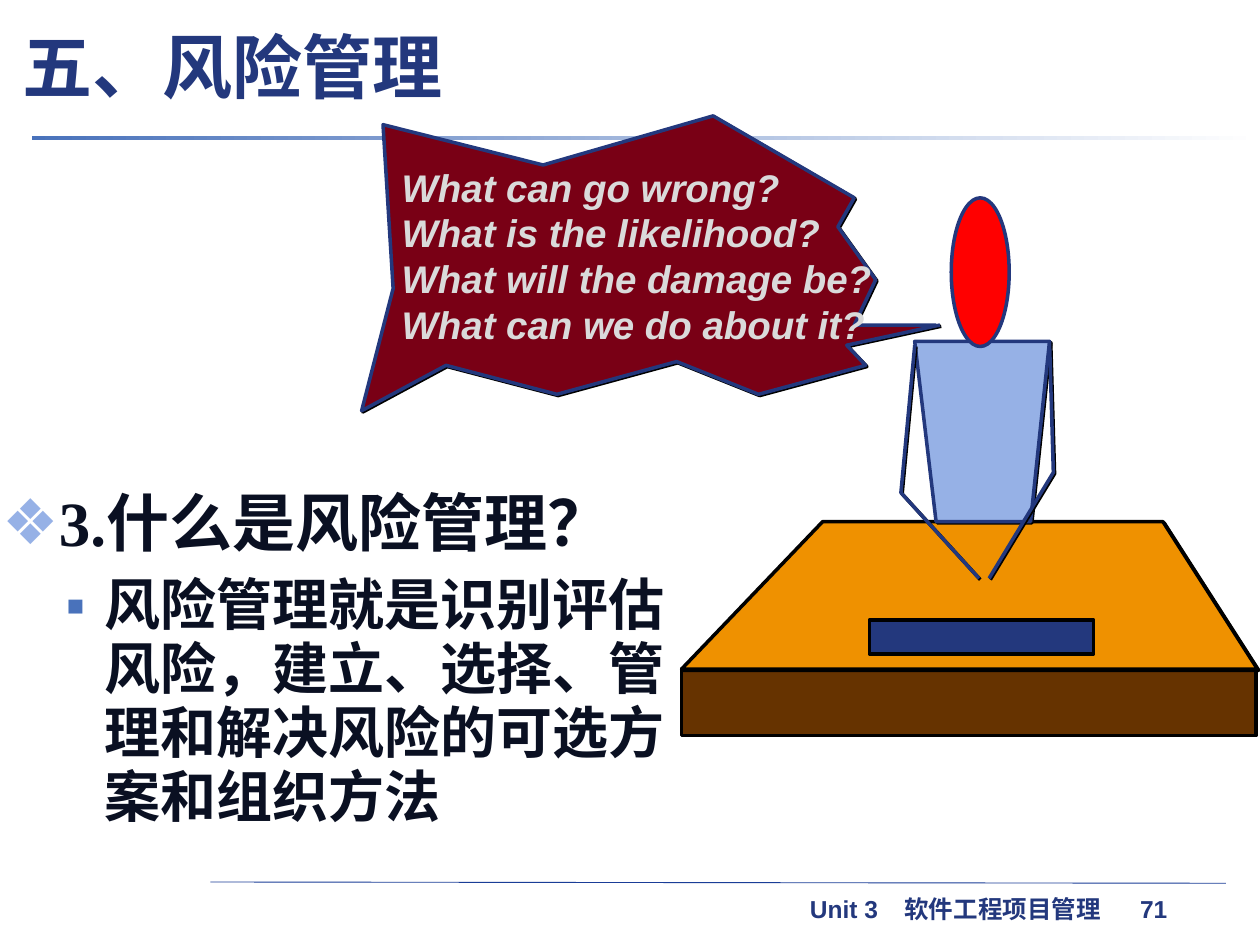
from lxml import etree
from pptx import Presentation
from pptx.dml.color import RGBColor
from pptx.enum.shapes import MSO_CONNECTOR, MSO_SHAPE
from pptx.enum.text import MSO_ANCHOR, MSO_AUTO_SIZE, PP_ALIGN
from pptx.oxml.ns import qn
from pptx.util import Inches, Pt

RECT, OVAL, LINE = MSO_SHAPE.RECTANGLE, MSO_SHAPE.OVAL, MSO_CONNECTOR.STRAIGHT
MIDDLE, TOP, LEFT = MSO_ANCHOR.MIDDLE, MSO_ANCHOR.TOP, PP_ALIGN.LEFT
FIXED = MSO_AUTO_SIZE.NONE

THEME = {
    "navy": "23387D", "rule": "1A3D97", "blue": "4972BB", "pale": "96B1E6",
    "ink": "0A1022", "black": "000000", "white": "FFFFFF", "grey": "DADADA",
    "wine": "790015", "brown": "663300", "gold": "EF9100", "red": "FF0000",
    "sans": "Arial", "serif": "Times New Roman", "cjk": "Noto Sans CJK SC",
    "title": 40, "head": 36, "body": 32, "ask": 22, "foot": 14,
    "stroke": 2, "hair": 0.5,
}

TITLE = "五、风险管理"
FOOTER = "Unit 3\t软件工程项目管理\t71"
POINTS = [
    dict(words="3.什么是风险管理？", size="head", level=0, before=0,
         bullet="❖", tint="pale", indent=(0.38, -0.38)),
    dict(words="风险管理就是识别评估风险，建立、选择、管理和解决风险的可选方案和组织方法",
         size="body", level=1, before=8,
         bullet="▪", tint="blue", indent=(0.81, -0.31)),
]
ASKS = ["What can go wrong?", "What is the likelihood?",
        "What will the damage be?", "What can we do about it?"]

BUBBLE = [(7.46, 2.58), (6.72, 2.74), (6.87, 2.9), (6.02, 3.13), (5.37, 2.87),
          (4.42, 3.13), (3.54, 2.9), (2.87, 3.26), (3.12, 2.29), (3.04, 0.99),
          (4.31, 1.31), (5.66, 0.92), (6.78, 1.57), (6.65, 1.8), (6.95, 2.22),
          (6.78, 2.58), (7.43, 2.58)]
DESK = [(5.41, 5.31), (6.53, 4.14), (9.23, 4.14), (9.98, 5.31), (5.41, 5.31)]
TORSO = [(7.43, 4.14), (7.26, 2.71), (8.33, 2.71), (8.18, 4.14), (7.43, 4.14)]
ARMS = [[(7.26, 2.74), (7.15, 3.91), (7.77, 4.59)],
        [(8.33, 2.71), (8.36, 3.75), (7.85, 4.59)]]
SHADE = 0.01


def color(name):
    return RGBColor.from_string(THEME[name])


def box(at):
    return [Inches(n) for n in at]


def place(shape, at):
    shape.left, shape.top, shape.width, shape.height = box(at)


def write(para, words, size, ink, font="sans", italic=False, level=0,
          before=0, space=None, bullet=None, tint=None, indent=None, tabs=()):
    props = para._p.get_or_add_pPr()
    para.alignment, para.level = LEFT, level
    para.space_before = Pt(before)
    if space:
        para.line_spacing = space
    if indent:
        props.set("marL", str(Inches(indent[0])))
        props.set("indent", str(Inches(indent[1])))
    if bullet:
        mark = etree.SubElement(props, qn("a:buClr"))
        etree.SubElement(mark, qn("a:srgbClr"), val=THEME[tint])
        etree.SubElement(props, qn("a:buChar"), char=bullet)
    if tabs:
        stops = etree.SubElement(props, qn("a:tabLst"))
        for stop in tabs:
            etree.SubElement(stops, qn("a:tab"), pos=str(Inches(stop)), algn="l")
    run = para.add_run()
    run.text = words
    face = run.font
    face.size, face.bold, face.italic = Pt(THEME[size]), True, italic
    face.color.rgb, face.name = color(ink), THEME[font]
    etree.SubElement(run._r.get_or_add_rPr(), qn("a:ea"), typeface=THEME["cjk"])


def label(shapes, at, words, wrap=False, **style):
    frame = shapes.add_textbox(*box(at)).text_frame
    frame.word_wrap = wrap
    write(frame.paragraphs[0], words, **style)


def paint(shape, fill=None, line=None):
    shape.shadow.inherit = False
    if fill:
        shape.fill.solid()
        shape.fill.fore_color.rgb = color(fill)
    else:
        shape.fill.background()
    if line:
        shape.line.color.rgb = color(line)
        shape.line.width = Pt(THEME["stroke"])
    else:
        shape.line.fill.background()


def block(shapes, kind, at, fill, line):
    paint(shapes.add_shape(kind, *box(at)), fill, line)


def shaded(shapes, dots, fill=None, line="navy"):
    for shift, inside, edge in ((SHADE, None, "black"), (0, fill, line)):
        spots = [box((x + shift, y + shift)) for x, y in dots]
        path = shapes.build_freeform(*spots[0])
        path.add_line_segments(spots[1:], close=False)
        paint(path.convert_to_shape(), inside, edge)


def frame_page(shapes):
    rule = shapes.add_connector(LINE, *box((1.67, 7, 9.73, 7.01)))
    rule.line.color.rgb = color("rule")
    rule.line.width = Pt(THEME["hair"])
    etree.SubElement(rule._element.spPr, qn("a:effectLst"))
    label(shapes, (6.33, 7.05, 3.5, 0.34), FOOTER, wrap=True,
          size="foot", ink="navy", tabs=(0.75, 2.62))
    band = shapes.add_shape(RECT, *box((0.25, 1.08, 9.75, 0.03)))
    paint(band)
    band.fill.gradient()
    band.fill.gradient_angle = 0
    for stop, name in zip(band.fill.gradient_stops, ("blue", "white")):
        stop.color.rgb = color(name)


def fill_text(shapes):
    title, body = shapes.title, shapes.placeholders[1]
    place(title, (0.08, 0.12, 8.33, 0.8))
    place(body, (-0.08, 3.83, 5.83, 5.67))
    for shape, anchor in ((title, MIDDLE), (body, TOP)):
        shape.text_frame.auto_size = FIXED
        shape.text_frame.vertical_anchor = anchor
    write(title.text_frame.paragraphs[0], TITLE, "title", "navy", font="cjk")
    frame = body.text_frame
    for i, point in enumerate(POINTS):
        para = frame.add_paragraph() if i else frame.paragraphs[0]
        write(para, ink="ink", font="serif", space=0.95, **point)


def draw_scene(art):
    shaded(art, BUBBLE, "wine")
    block(art, RECT, (5.41, 5.31, 4.56, 0.53), "brown", "black")
    shaded(art, DESK, "gold", "black")
    shaded(art, TORSO, "pale")
    for arm in ARMS:
        shaded(art, arm)
    block(art, OVAL, (7.55, 1.57, 0.46, 1.18), "red", "navy")
    for i, ask in enumerate(ASKS):
        label(art, (3.09, 1.25 + i * 1.09 / 3, 4.2, 0.46), ask, wrap=True,
              size="ask", ink="grey", italic=True)
    block(art, RECT, (6.9, 4.92, 1.78, 0.27), "navy", "black")


def main():
    """Build the risk management slide."""
    deck = Presentation()
    deck.slide_width, deck.slide_height = box((10, 7.5))
    shapes = deck.slides.add_slide(deck.slide_layouts[1]).shapes
    frame_page(shapes)
    fill_text(shapes)
    draw_scene(shapes.add_group_shape().shapes)
    deck.save("out.pptx")


if __name__ == "__main__":
    main()
